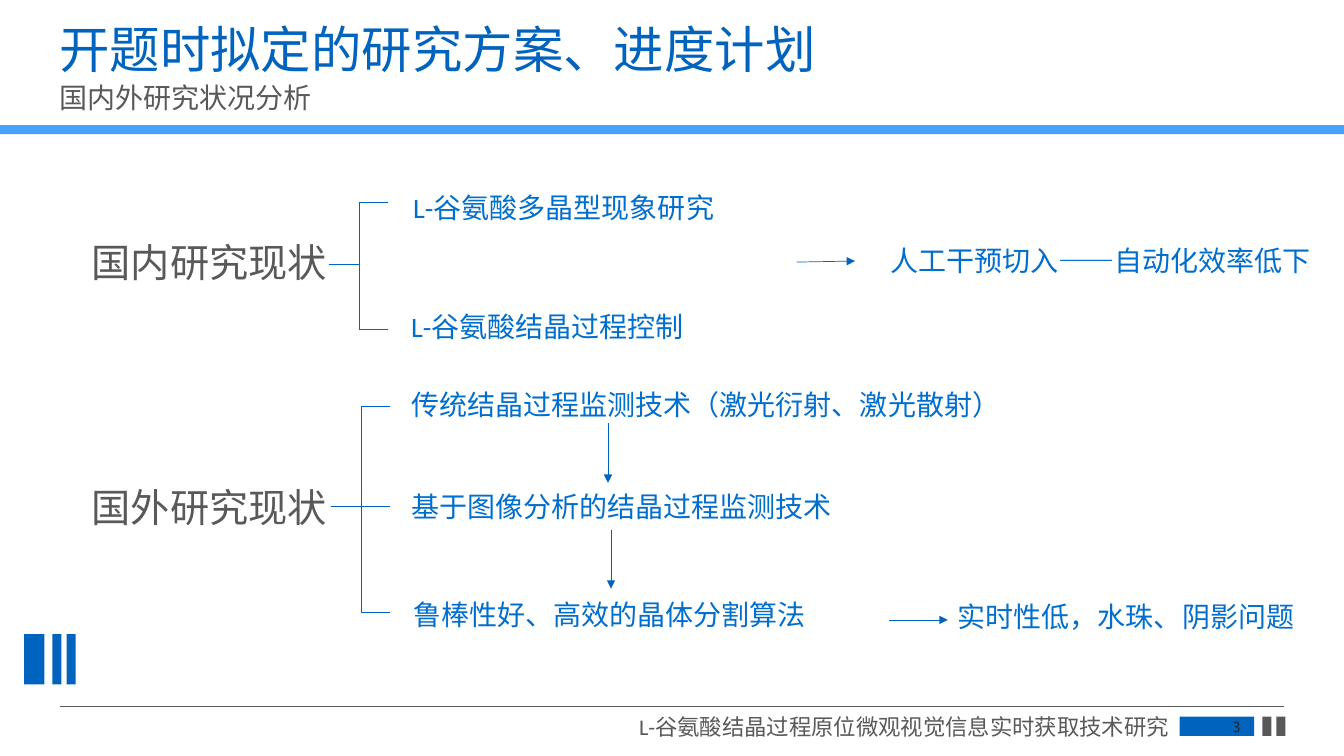
from pptx import Presentation
from pptx.dml.color import RGBColor
from pptx.enum.shapes import MSO_CONNECTOR, MSO_SHAPE
from pptx.enum.text import MSO_ANCHOR, MSO_AUTO_SIZE, PP_ALIGN
from pptx.oxml.ns import qn
from pptx.util import Inches, Pt
from lxml.etree import SubElement

BLUE = "0063BE"
TEXT = "006ECF"
GREY = "595959"
SKY = "47A1FE"
DARK = "262626"


def color(code):
    return RGBColor.from_string(code)


def write(box, text, size=20, ink=TEXT, font="Calibri", align=PP_ALIGN.LEFT,
          line=0.9, before=10):
    para = box.text_frame.paragraphs[0]
    para.alignment = align
    para.line_spacing = line
    para.space_before = Pt(before)
    run = para.add_run()
    run.text = text
    run.font.size = Pt(size)
    run.font.name = font
    run.font.color.rgb = color(ink)


class Page:
    def __init__(self, slide, ink=BLUE, width=0.5):
        self.shapes = slide.shapes
        self.ink = ink
        self.width = width

    def bar(self, left, top, width, height, fill=BLUE):
        shape = self.shapes.add_shape(
            MSO_SHAPE.RECTANGLE, Inches(left), Inches(top),
            Inches(width), Inches(height))
        shape.shadow.inherit = False
        shape.fill.solid()
        shape.fill.fore_color.rgb = color(fill)
        shape.line.fill.background()

    def line(self, x1, y1, x2, y2, ink=None, arrow=False):
        link = self.shapes.add_connector(
            MSO_CONNECTOR.STRAIGHT, Inches(x1), Inches(y1),
            Inches(x2), Inches(y2))
        link.line.color.rgb = color(ink or self.ink)
        link.line.width = Pt(self.width)
        if arrow:
            SubElement(link.line._ln, qn("a:tailEnd"), type="triangle")
        SubElement(link._element.spPr, qn("a:effectLst"))

    def text(self, text, left, top, width=4.84, height=0.45, **style):
        box = self.shapes.add_textbox(
            Inches(left), Inches(top), Inches(width), Inches(height))
        box.text_frame.word_wrap = True
        write(box, text, **style)
        return box.text_frame

    def label(self, text, top):
        frame = self.text(text, 0.91, top, 4.55, 0.47, size=28, ink=GREY,
                          line=1, before=0)
        frame.margin_left = frame.margin_right = 0
        frame.margin_top = frame.margin_bottom = 0
        frame.vertical_anchor = MSO_ANCHOR.MIDDLE
        frame.auto_size = MSO_AUTO_SIZE.SHAPE_TO_FIT_TEXT

    def brace(self, x, mid, rows):
        self.line(x - 0.3, mid, x, mid)
        self.line(x, rows[0], x, rows[-1])
        for y in rows:
            self.line(x, y, x + 0.29, y)


def main():
    deck = Presentation()
    deck.slide_width = Inches(13.33)
    deck.slide_height = Inches(7.5)
    page = Page(deck.slides.add_slide(deck.slide_layouts[6]))

    page.bar(0, 1.24, 13.33, 0.09, SKY)
    page.text("开题时拟定的研究方案、进度计划", 0.49, 0.2, 12.18, 0.64,
              size=36, ink=BLUE)
    page.text("国内外研究状况分析", 0.49, 0.79, 12.18, ink=GREY)

    page.line(0.6, 7.01, 12.73, 7.01, GREY)
    page.bar(11.7, 7.11, 0.74, 0.19)
    for left in (12.52, 12.66):
        page.bar(left, 7.11, 0.09, 0.19, GREY)
    page.text("L-谷氨酸结晶过程原位微观视觉信息实时获取技术研究",
              6.24, 7.06, 6.95, size=16, ink=GREY)
    number = page.text("3", 11.74, 7.13, 0.66, 0.17, size=10, ink=DARK,
                       font="Noto Sans CJK SC", align=PP_ALIGN.RIGHT,
                       line=1, before=0)
    number.vertical_anchor = MSO_ANCHOR.MIDDLE
    for left, width in ((0.24, 0.2), (0.52, 0.09), (0.66, 0.09)):
        page.bar(left, 6.29, width, 0.5)

    page.label("国内研究现状", 2.36)
    page.brace(3.56, 2.62, (2.01, 3.27))
    page.label("国外研究现状", 4.79)
    page.brace(3.58, 5.02, (4.03, 5.02, 6.08))

    for text, left, top, width in (
        ("L-谷氨酸多晶型现象研究", 4, 1.88, 4.84),
        ("L-谷氨酸结晶过程控制", 3.98, 3.06, 4.84),
        ("人工干预切入——自动化效率低下", 8.73, 2.4, 4.6),
        ("传统结晶过程监测技术（激光衍射、激光散射）", 3.98, 3.83, 6.47),
        ("基于图像分析的结晶过程监测技术", 3.98, 4.84, 4.5),
        ("鲁棒性好、高效的晶体分割算法", 4, 5.92, 4.84),
        ("实时性低，水珠、阴影问题", 9.4, 5.94, 3.93),
    ):
        page.text(text, left, top, width)

    for ends in ((7.9, 2.6, 8.48, 2.59), (6.03, 4.2, 6.03, 4.79),
                 (6.06, 5.26, 6.06, 5.84), (8.82, 6.15, 9.4, 6.15)):
        page.line(*ends, arrow=True)

    deck.save("out.pptx")


if __name__ == "__main__":
    main()
